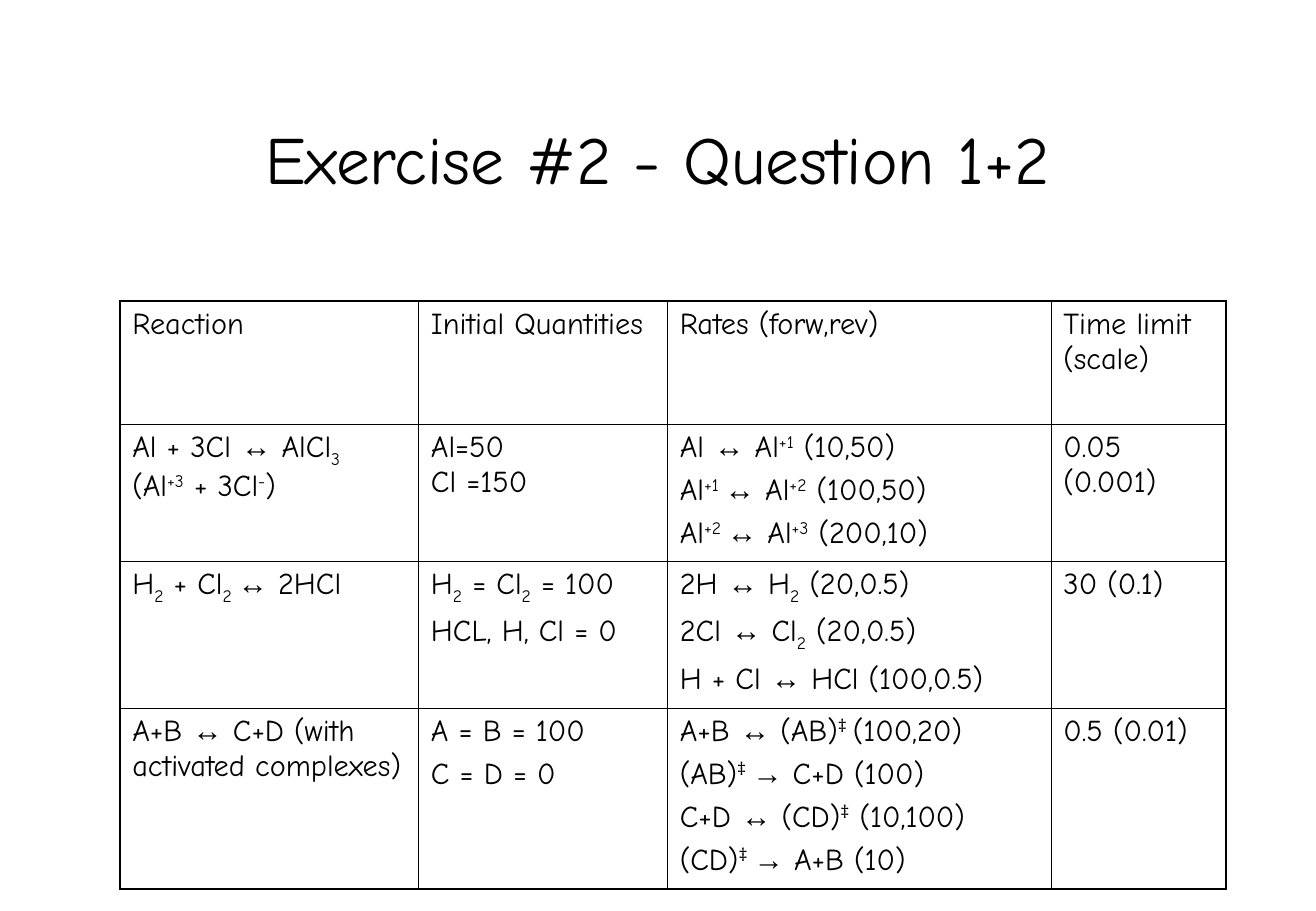
"""Build the slide with the reaction table of exercise 2."""
from itertools import groupby

from lxml import etree
from pptx import Presentation
from pptx import util as u
from pptx.dml.color import RGBColor
from pptx.enum import text
from pptx.oxml import ns

BLACK = RGBColor(0x00, 0x00, 0x00)
WHITE = RGBColor(0xFF, 0xFF, 0xFF)
BASELINES = {"^": "30000", "_": "-25000"}
ARROWS = "↔→"

COLUMN_WIDTHS = [2.46, 2.05, 3.16, 1.44]
ROW_HEIGHTS = [1.01, 1.13, 1.21, 1.49]
REACTIONS = [
    [["Reaction"], ["Initial Quantities"], ["Rates (forw,rev)"], ["Time limit (scale)"]],
    [
        ["Al + 3Cl ↔ AlCl_3_\n(Al^+3^ + 3Cl^-^)"],
        ["Al=50\nCl =150"],
        ["Al ↔ Al^+1^ (10,50)", "Al^+1 ^↔ Al^+2^ (100,50)", "Al^+2 ^↔ Al^+3^ (200,10)"],
        ["0.05 (0.001)"],
    ],
    [
        ["H_2_ + Cl_2 _↔ 2HCl"],
        ["H_2_ = Cl_2_ = 100", "HCL, H, Cl = 0"],
        ["2H ↔ H_2_ (20,0.5)", "2Cl ↔ Cl_2_ (20,0.5)", "H + Cl ↔ HCl (100,0.5)"],
        ["30 (0.1)"],
    ],
    [
        ["A+B ↔ C+D (with activated complexes)"],
        ["A = B = 100", "C = D = 0"],
        ["A+B ↔ (AB)^‡ ^(100,20)", "(AB)^‡ ^→ C+D (100)",
         "C+D ↔ (CD)^‡^ (10,100)", "(CD)^‡ ^→ A+B (10)"],
        ["0.5 (0.01)"],
    ],
]


class SlideBuilder:
    """Hold the style and the current slide, and add elements to it."""

    def __init__(self, presentation):
        self.font = "Comic Neue"
        self.arrow_font = "Arial"
        self.outer_line = 1.08
        self.inner_line = 0.45
        self.slide = presentation.slides.add_slide(presentation.slide_layouts[5])
        self.slide.background.fill.solid()
        self.slide.background.fill.fore_color.rgb = WHITE

    def style(self, paragraph, size):
        """Set the common font of a paragraph."""
        paragraph.font.name = self.font
        paragraph.font.size = u.Pt(size)
        paragraph.font.color.rgb = BLACK

    def title(self, wording, left, top, width, height):
        """Place and format the title placeholder."""
        shape = self.slide.shapes.title
        shape.left, shape.top = u.Inches(left), u.Inches(top)
        shape.width, shape.height = u.Inches(width), u.Inches(height)
        shape.text_frame.text = wording
        shape.text_frame.vertical_anchor = text.MSO_ANCHOR.MIDDLE
        paragraph = shape.text_frame.paragraphs[0]
        paragraph.alignment = text.PP_ALIGN.CENTER
        self.style(paragraph, 40)

    def formula(self, paragraph, markup):
        """Write text where ^ and _ enclose raised and lowered parts."""
        self.style(paragraph, 18)
        mark = None
        pieces = []
        for letter in markup:
            if letter in BASELINES:
                mark = None if mark == letter else letter
            else:
                pieces.append((letter, mark, letter in ARROWS))
        for (mark, is_arrow, is_break), group in groupby(
                pieces, key=lambda piece: (piece[1], piece[2], piece[0] == "\n")):
            if is_break:
                paragraph.add_line_break()
                continue
            run = paragraph.add_run()
            run.text = "".join(piece[0] for piece in group)
            if is_arrow:
                run.font.name = self.arrow_font
            if mark:
                run._r.get_or_add_rPr().set("baseline", BASELINES[mark])

    def border(self, cell, side, points):
        """Draw one black edge of a cell."""
        line = etree.SubElement(cell._tc.get_or_add_tcPr(), ns.qn(f"a:ln{side}"),
                                w=str(int(u.Pt(points))))
        fill = etree.SubElement(line, ns.qn("a:solidFill"))
        etree.SubElement(fill, ns.qn("a:srgbClr"), val=str(BLACK))

    def table(self, rows, left, top, widths, heights):
        """Add a ruled table with a heavier outer frame."""
        frame = self.slide.shapes.add_table(
            len(rows), len(widths), u.Inches(left), u.Inches(top),
            u.Inches(sum(widths)), u.Inches(sum(heights)))
        table = frame.table
        table.first_row = table.horz_banding = False
        for column, width in zip(table.columns, widths):
            column.width = u.Inches(width)
        for row, height in zip(table.rows, heights):
            row.height = u.Inches(height)
        for i, row in enumerate(rows):
            for j, lines in enumerate(row):
                cell = table.cell(i, j)
                outer_sides = {"L": j == 0, "R": j == len(widths) - 1,
                               "T": i == 0, "B": i == len(rows) - 1}
                for side, is_outer in outer_sides.items():
                    self.border(cell, side, self.outer_line if is_outer else self.inner_line)
                cell.fill.background()
                for k, markup in enumerate(lines):
                    if k:
                        paragraph = cell.text_frame.add_paragraph()
                        paragraph.space_before = u.Pt(4.5)
                    else:
                        paragraph = cell.text_frame.paragraphs[0]
                    self.formula(paragraph, markup)


def main():
    presentation = Presentation()
    presentation.slide_width = u.Inches(10.84)
    presentation.slide_height = u.Inches(7.5)
    builder = SlideBuilder(presentation)
    builder.title("Exercise #2 - Question 1+2", 0.81, 0.67, 9.21, 1.25)
    builder.table(REACTIONS, 0.99, 2.48, COLUMN_WIDTHS, ROW_HEIGHTS)
    presentation.save("out.pptx")


if __name__ == "__main__":
    main()
